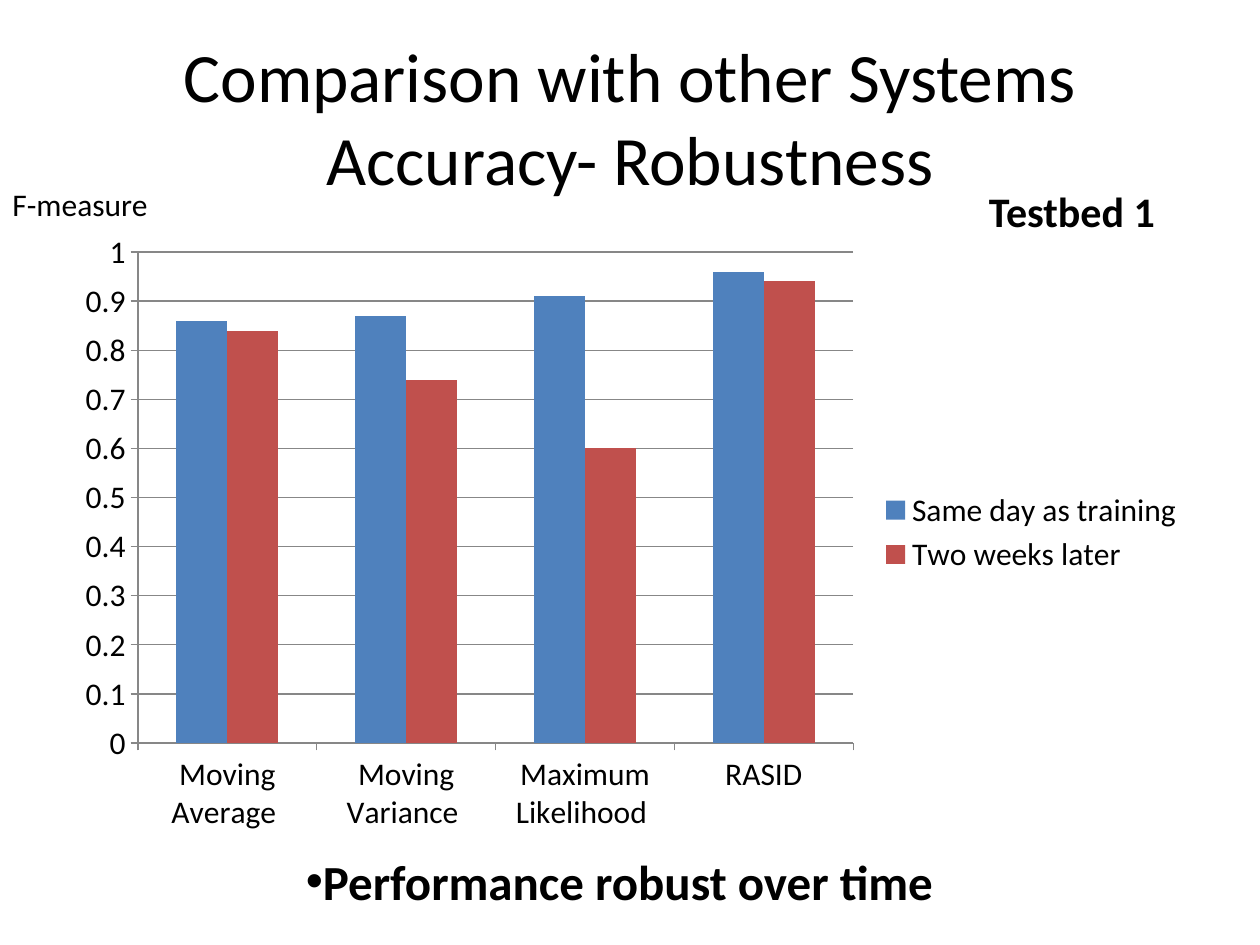
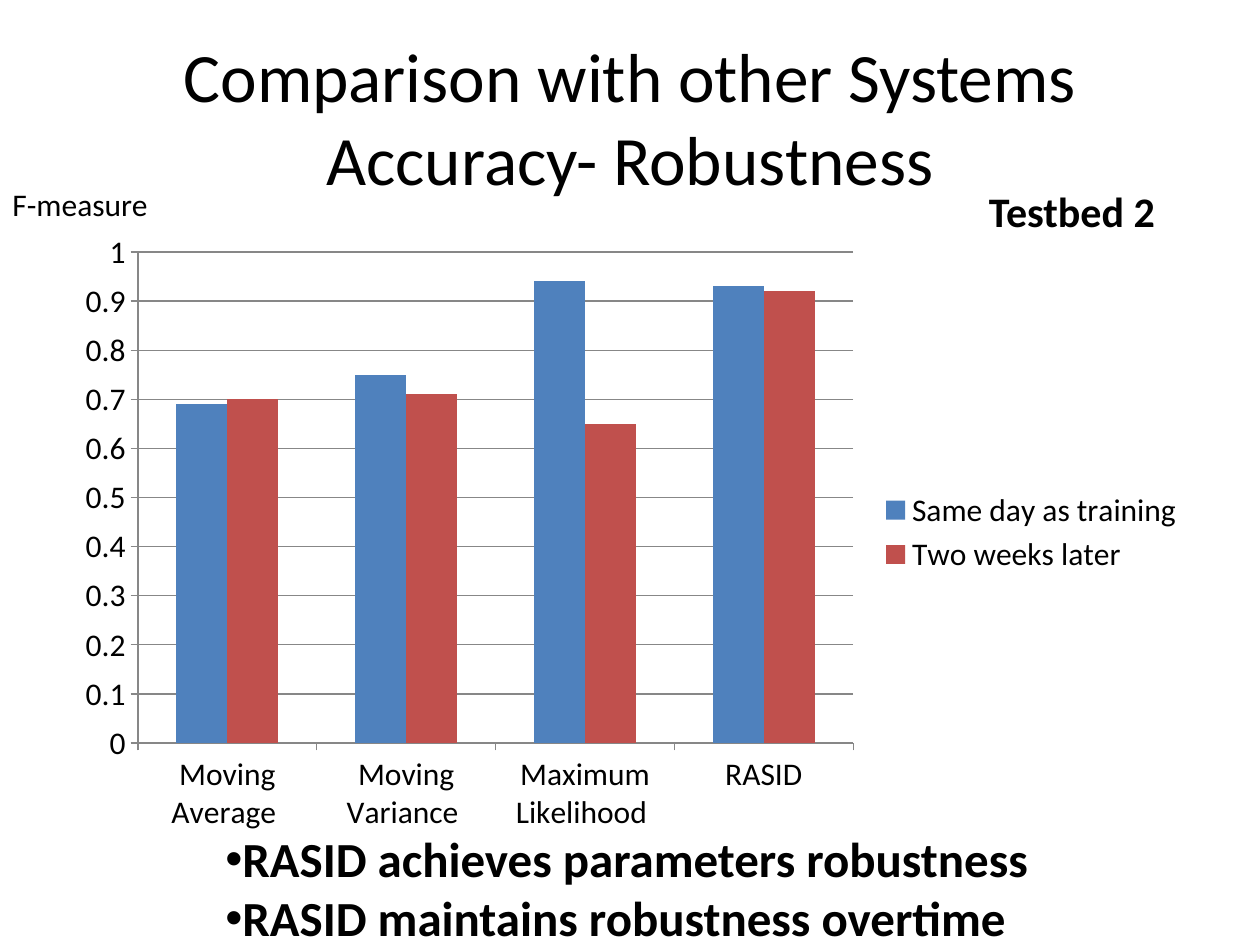
import pptx
import pptx.chart.data
import pptx.dml.color
import pptx.enum.chart
import pptx.enum.text
import pptx.oxml
import pptx.util
from pptx.util import Inches

FONT = "Calibri"
BLACK = "000000"
GRID_GREY = "878787"
TITLE_LINES = ["Comparison with other Systems", "Accuracy- Robustness"]
SYSTEMS = ["Moving Average ", "Moving Variance ", "Maximum Likelihood ", "RASID"]
SERIES_COLOURS = {"Same day as training": "4F81BD", "Two weeks later": "C0504D"}

TESTBEDS = [
    {
        "label": "Testbed 1",
        "scores": [[0.86, 0.87, 0.91, 0.96], [0.84, 0.74, 0.6, 0.94]],
        "findings": ["Performance robust over time"],
        "findings_at": (2.33, 6.71, 5.24, 0.88),
    },
    {
        "label": "Testbed 2",
        "scores": [[0.69, 0.75, 0.94, 0.93], [0.7, 0.71, 0.65, 0.92]],
        "findings": [
            "RASID achieves parameters robustness",
            "RASID maintains robustness overtime",
        ],
        "findings_at": (1.69, 6.53, 6.65, 1.51),
    },
]


def colour(value):
    return pptx.dml.color.RGBColor.from_string(value)


def style_font(font, size, bold=False):
    font.name = FONT
    font.size = pptx.util.Pt(size)
    font.bold = bold
    font.color.rgb = colour(BLACK)


def add_span(para, text, size, bold=False):
    span = para.add_run()
    span.text = text
    style_font(span.font, size, bold)


def add_title(page):
    title = page.shapes.title
    title.left, title.top, title.width, title.height = map(Inches, (0.5, 0.3, 9, 1.25))
    frame = title.text_frame
    frame.auto_size = pptx.enum.text.MSO_AUTO_SIZE.NONE
    frame.vertical_anchor = pptx.enum.text.MSO_ANCHOR.MIDDLE
    para = frame.paragraphs[0]
    para.alignment = pptx.enum.text.PP_ALIGN.CENTER
    for index, line in enumerate(TITLE_LINES):
        if index:
            para.add_line_break()
        add_span(para, line, 39.6)


def add_text(page, place, lines, size, bold=False, bullet=False):
    box = page.shapes.add_textbox(*map(Inches, place))
    frame = box.text_frame
    frame.word_wrap = False
    frame.auto_size = pptx.enum.text.MSO_AUTO_SIZE.SHAPE_TO_FIT_TEXT
    for index, line in enumerate(lines):
        para = frame.add_paragraph() if index else frame.paragraphs[0]
        add_span(para, line, size, bold)
        if bullet:
            properties = para._p.get_or_add_pPr()
            for tag, name, value in (("a:buFont", "typeface", "Arial"), ("a:buChar", "char", "•")):
                mark = pptx.oxml.xmlchemy.OxmlElement(tag)
                mark.set(name, value)
                properties.append(mark)


def style_line(line):
    line.color.rgb = colour(GRID_GREY)
    line.width = pptx.util.Pt(0.75)


def add_scores_chart(page, scores):
    data = pptx.chart.data.CategoryChartData()
    data.categories = SYSTEMS
    for name, values in zip(SERIES_COLOURS, scores):
        data.add_series(name, values)
    chart = page.shapes.add_chart(
        pptx.enum.chart.XL_CHART_TYPE.COLUMN_CLUSTERED,
        *map(Inches, (0.5, 1.75, 9, 4.95)), data,
    ).chart
    style_font(chart.font, 18)
    chart.has_title = False
    chart.has_legend = True
    chart.legend.position = pptx.enum.chart.XL_LEGEND_POSITION.RIGHT
    chart.legend.include_in_layout = False

    plot = chart.plots[0]
    plot.gap_width = 150
    plot.overlap = 0
    plot.vary_by_categories = False
    for series, fill in zip(plot.series, SERIES_COLOURS.values()):
        series.format.fill.solid()
        series.format.fill.fore_color.rgb = colour(fill)

    for axis in (chart.category_axis, chart.value_axis):
        axis.major_tick_mark = pptx.enum.chart.XL_TICK_MARK.OUTSIDE
        axis.minor_tick_mark = pptx.enum.chart.XL_TICK_MARK.NONE
        style_line(axis.format.line)
    scale = chart.value_axis
    scale.minimum_scale, scale.maximum_scale, scale.major_unit = 0, 1, 0.1
    scale.has_major_gridlines = True
    style_line(scale.major_gridlines.format.line)


def add_testbed_page(deck, testbed):
    page = deck.slides.add_slide(deck.slide_layouts.get_by_name("Title Only"))
    add_title(page)
    add_scores_chart(page, testbed["scores"])
    add_text(page, (7.75, 1.42, 1.53, 0.5), [testbed["label"]], 24, bold=True)
    add_text(page, (0, 1.42, 1.29, 0.4), ["F-measure"], 18)
    add_text(page, testbed["findings_at"], testbed["findings"], 28, bold=True, bullet=True)


def main():
    deck = pptx.Presentation()
    deck.slide_width, deck.slide_height = Inches(10), Inches(7.5)
    for testbed in TESTBEDS:
        add_testbed_page(deck, testbed)
    deck.save("out.pptx")


if __name__ == "__main__":
    main()
